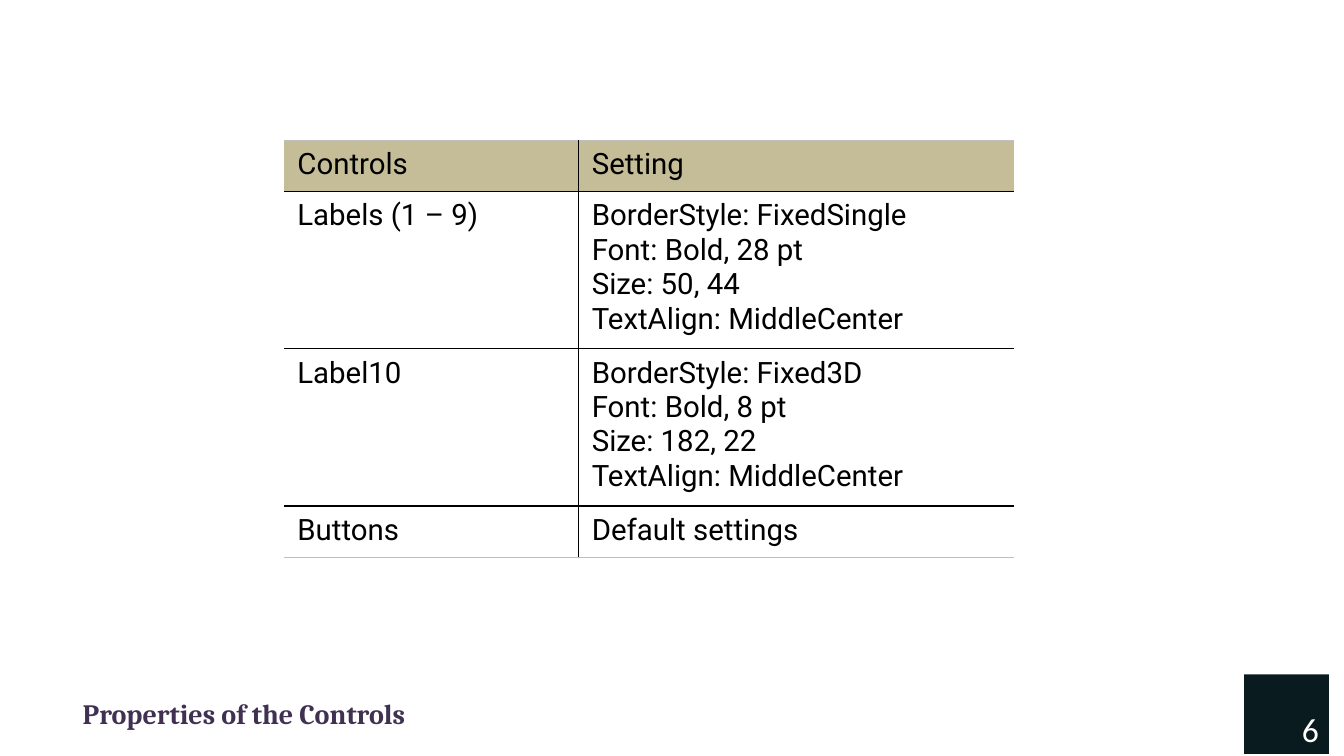
"""Build the slide that lists the properties of the controls."""
from lxml.etree import SubElement
from pptx import Presentation
from pptx.dml.color import RGBColor
from pptx.enum.shapes import MSO_SHAPE
from pptx.enum.text import MSO_ANCHOR, PP_ALIGN
from pptx.oxml import parse_xml
from pptx.oxml.ns import qn
from pptx.util import Inches, Pt

COLORS = {
    "text": "000000",
    "title": "403152",
    "header": "C4BD97",
    "rule": "000000",
    "frame": "BFBFBF",
    "badge": "0A1B20",
    "number": "FFFFFF",
}
COLUMN_WIDTHS = [2.92, 4.32]
ROW_HEIGHTS = [0.51, 1.56, 1.56, 0.51]
ROWS = [
    ("Controls", "Setting"),
    (
        "Labels (1 – 9)",
        "BorderStyle: FixedSingle\nFont: Bold, 28 pt\nSize: 50, 44\nTextAlign: MiddleCenter",
    ),
    (
        "Label10",
        "BorderStyle: Fixed3D\nFont: Bold, 8 pt\nSize: 182, 22\nTextAlign: MiddleCenter",
    ),
    ("Buttons", "Default settings"),
]


def color(name):
    return RGBColor.from_string(COLORS[name])


def style_text(text_frame, font_name, size, color_name, alignment, bold=False):
    for paragraph in text_frame.paragraphs:
        paragraph.alignment = alignment
        paragraph.font.name = font_name
        paragraph.font.size = Pt(size)
        paragraph.font.bold = bold
        paragraph.font.color.rgb = color(color_name)


def add_title(slide, text):
    title = slide.shapes.title
    title.left, title.top = Inches(0.72), Inches(6.82)
    title.width, title.height = Inches(11.44), Inches(0.52)
    text_frame = title.text_frame
    text_frame.text = text
    text_frame.vertical_anchor = MSO_ANCHOR.MIDDLE
    style_text(text_frame, "Cambria", 20, "title", PP_ALIGN.JUSTIFY, bold=True)


def add_page_badge(slide, number):
    badge = slide.shapes.add_shape(
        MSO_SHAPE.RECTANGLE, Inches(12.34), Inches(6.69), Inches(0.84), Inches(0.79)
    )
    badge.shadow.inherit = False
    badge.fill.solid()
    badge.fill.fore_color.rgb = color("badge")
    badge.line.fill.background()
    badge.text_frame.text = number
    badge.text_frame.vertical_anchor = MSO_ANCHOR.BOTTOM
    style_text(badge.text_frame, "Calibri", 24, "number", PP_ALIGN.RIGHT)


def set_borders(cell, borders):
    properties = cell._tc.get_or_add_tcPr()
    for index, (side, color_name) in enumerate(zip("LRTB", borders)):
        line = parse_xml(
            f'<a:ln{side} xmlns:a="http://schemas.openxmlformats.org/drawingml/2006/main"/>'
        )
        if color_name:
            line.set("w", str(Pt(1)))
            fill = SubElement(line, qn("a:solidFill"))
            SubElement(fill, qn("a:srgbClr"), val=COLORS[color_name])
        else:
            SubElement(line, qn("a:noFill"))
        properties.insert(index, line)


def fill_cell(cell, text, is_header, alignment):
    cell.text = text
    cell.margin_left = cell.margin_right = Inches(0.13)
    cell.margin_top = cell.margin_bottom = Inches(0.07)
    style_text(cell.text_frame, "Roboto", 21, "text", alignment)
    if is_header:
        cell.fill.solid()
        cell.fill.fore_color.rgb = color("header")
    else:
        cell.fill.background()


def add_settings_table(slide):
    table = slide.shapes.add_table(
        len(ROWS), len(COLUMN_WIDTHS), Inches(2.82), Inches(1.39),
        Inches(sum(COLUMN_WIDTHS)), Inches(sum(ROW_HEIGHTS)),
    ).table
    table.first_row = table.horz_banding = False
    for column, width in zip(table.columns, COLUMN_WIDTHS):
        column.width = Inches(width)
    for row, height in zip(table.rows, ROW_HEIGHTS):
        row.height = Inches(height)
    last_row, last_column = len(ROWS) - 1, len(COLUMN_WIDTHS) - 1
    for row_index, texts in enumerate(ROWS):
        for column_index, text in enumerate(texts):
            cell = table.cell(row_index, column_index)
            is_setting = row_index > 0 and column_index > 0
            alignment = PP_ALIGN.JUSTIFY if is_setting else PP_ALIGN.LEFT
            fill_cell(cell, text, row_index == 0, alignment)
            set_borders(cell, [
                "rule" if column_index > 0 else None,
                "rule" if column_index < last_column else None,
                "rule" if row_index > 0 else "frame",
                "rule" if row_index < last_row else "frame",
            ])


def main():
    presentation = Presentation()
    presentation.slide_width, presentation.slide_height = Inches(13.33), Inches(7.5)
    slide = presentation.slides.add_slide(presentation.slide_layouts[5])
    add_page_badge(slide, "6")
    add_title(slide, "Properties of the Controls")
    add_settings_table(slide)
    presentation.save("out.pptx")


if __name__ == "__main__":
    main()
